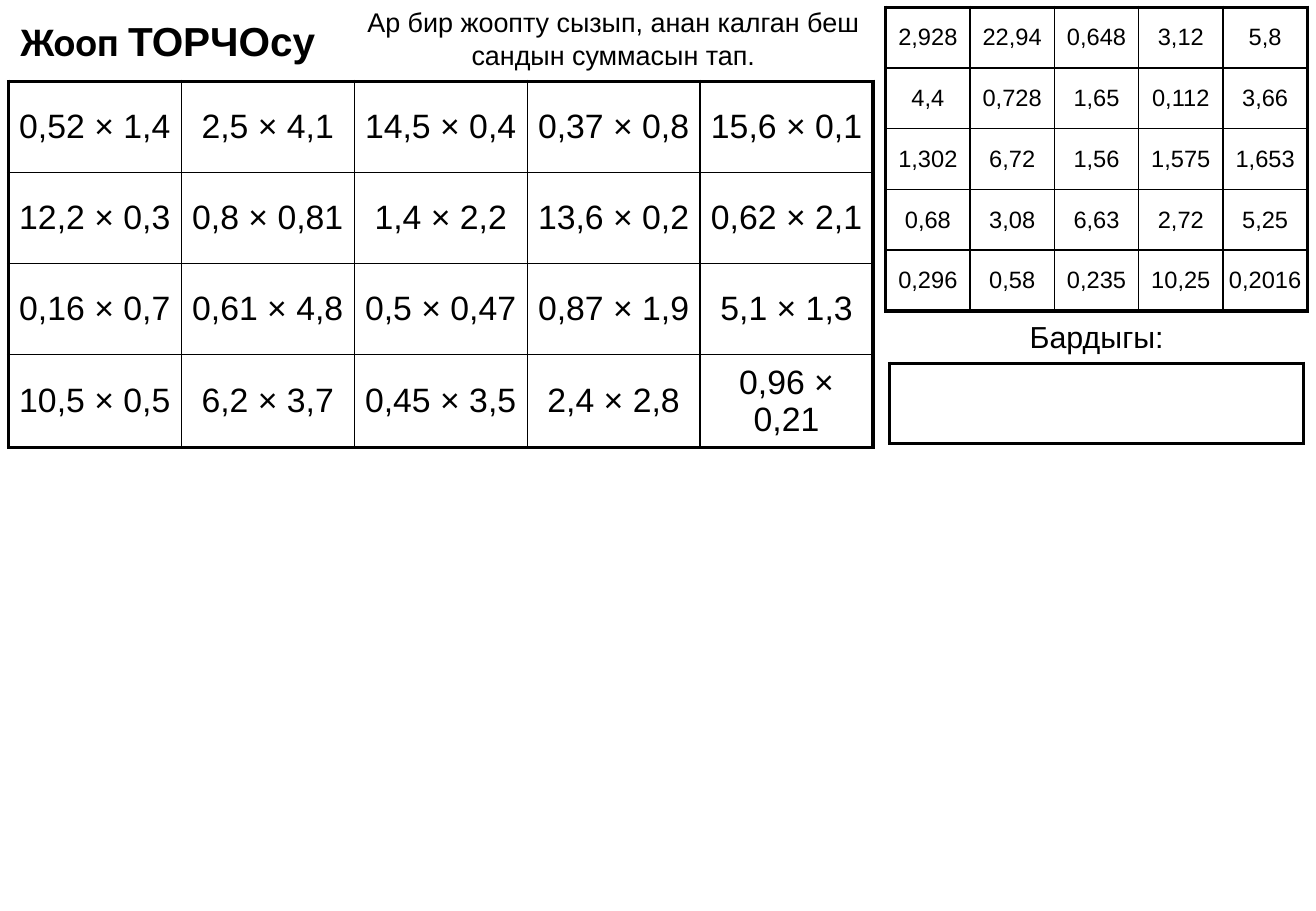
from pptx import Presentation
from pptx.dml.color import RGBColor
from pptx.enum.text import MSO_ANCHOR, MSO_AUTO_SIZE, PP_ALIGN
from pptx.oxml import parse_xml
from pptx.oxml.ns import nsdecls
from pptx.util import Pt

COLORS = {"ink": "000000", "paper": "FFFFFF"}
THIN, THICK = 1, 2.25

PROBLEMS = [
    ["0,52 × 1,4", "2,5 × 4,1", "14,5 × 0,4", "0,37 × 0,8", "15,6 × 0,1"],
    ["12,2 × 0,3", "0,8 × 0,81", "1,4 × 2,2", "13,6 × 0,2", "0,62 × 2,1"],
    ["0,16 × 0,7", "0,61 × 4,8", "0,5 × 0,47", "0,87 × 1,9", "5,1 × 1,3"],
    ["10,5 × 0,5", "6,2 × 3,7", "0,45 × 3,5", "2,4 × 2,8", "0,96 × 0,21"],
]
ANSWERS = [
    ["2,928", "22,94", "0,648", "3,12", "5,8"],
    ["4,4", "0,728", "1,65", "0,112", "3,66"],
    ["1,302", "6,72", "1,56", "1,575", "1,653"],
    ["0,68", "3,08", "6,63", "2,72", "5,25"],
    ["0,296", "0,58", "0,235", "10,25", "0,2016"],
]


def rgb(name):
    """Return the named colour."""
    return RGBColor.from_string(COLORS[name])


def add_borders(cell, widths):
    """Draw the cell's borders, given widths by side."""
    tc_pr = cell._tc.get_or_add_tcPr()
    for side, width in widths.items():
        tc_pr.append(parse_xml(
            f'<a:ln{side} {nsdecls("a")} w="{Pt(width)}"><a:solidFill>'
            f'<a:srgbClr val="{COLORS["ink"]}"/></a:solidFill></a:ln{side}>'))


def add_grid(slide, box, rows, size, margin):
    """Fill the box with an even table framed by a thick line."""
    x, y, w, h = box
    n_rows, n_cols = len(rows), len(rows[0])
    table = slide.shapes.add_table(n_rows, n_cols, Pt(x), Pt(y), Pt(w), Pt(h)).table
    table.first_row = table.horz_banding = False
    for column in table.columns:
        column.width = Pt(w / n_cols)
    for i, values in enumerate(rows):
        table.rows[i].height = Pt(h / n_rows)
        for j, value in enumerate(values):
            cell = table.cell(i, j)
            add_borders(cell, {
                "L": THICK if j == 0 else THIN,
                "R": THICK if j == n_cols - 1 else THIN,
                "T": THICK if i == 0 else THIN,
                "B": THICK if i == n_rows - 1 else THIN,
            })
            cell.fill.solid()
            cell.fill.fore_color.rgb = rgb("paper")
            cell.vertical_anchor = MSO_ANCHOR.MIDDLE
            cell.margin_left = cell.margin_right = Pt(margin)
            cell.margin_top = cell.margin_bottom = Pt(margin)
            if value:
                p = cell.text_frame.paragraphs[0]
                p.text = value
                format_text(p, size)


def format_text(p, size):
    """Centre the paragraph and set its font."""
    p.alignment = PP_ALIGN.CENTER
    p.font.name = "Arial"
    p.font.size = Pt(size)
    p.font.color.rgb = rgb("ink")


def add_label(slide, box, text, size):
    """Write centred text in the box."""
    tf = slide.shapes.add_textbox(*map(Pt, box)).text_frame
    tf.word_wrap = True
    tf.auto_size = MSO_AUTO_SIZE.SHAPE_TO_FIT_TEXT
    p = tf.paragraphs[0]
    p.text = text
    format_text(p, size)


def set_title(slide, box):
    """Place the title and write its two fonts."""
    sp = slide.shapes.title
    sp.left, sp.top, sp.width, sp.height = map(Pt, box)
    tf = sp.text_frame
    tf.word_wrap = True
    tf.auto_size = MSO_AUTO_SIZE.SHAPE_TO_FIT_TEXT
    tf.vertical_anchor = MSO_ANCHOR.TOP
    p = tf.paragraphs[0]
    p.alignment = PP_ALIGN.LEFT
    for text, font in (("Жооп ", "Calibri"), ("ТОРЧОсу", "Arial")):
        r = p.add_run()
        r.text = text
        r.font.name = font
        r.font.size = Pt(24)
        r.font.bold = True
        r.font.color.rgb = rgb("ink")


def add_problem_region(slide, box):
    """Build the heading, the instruction and the grid of products."""
    x, y, w, h = box
    header = 48.2
    set_title(slide, (x, y + 5.8, 332.6, 36))
    add_label(slide, (x + 176.4, y, 364.3, 46),
              "Ар бир жоопту сызып, анан калган беш сандын суммасын тап.", 16)
    add_grid(slide, (x, y + header, w, h - header), PROBLEMS, 20, 3.6)


def add_answer_region(slide, box):
    """Build the answer grid, the total label and the empty total box."""
    x, y, w, h = box
    add_grid(slide, (x, y, w, 180), ANSWERS, 14, 0)
    add_label(slide, (x + 5.5, y + 180.7, w - 11, 29), "Бардыгы:", 18)
    add_grid(slide, (x + 2.2, y + h - 47.5, w - 4.4, 47.5), [[""]], 18, 3.6)


def main():
    """Build and save the worksheet slide."""
    prs = Presentation()
    prs.slide_width, prs.slide_height = Pt(780), Pt(540)
    slide = prs.slides.add_slide(prs.slide_layouts[5])
    add_problem_region(slide, (5, 0, 512.6, 264.2))
    add_answer_region(slide, (525, 4.3, 250, 258.5))
    prs.save("out.pptx")


if __name__ == "__main__":
    main()
